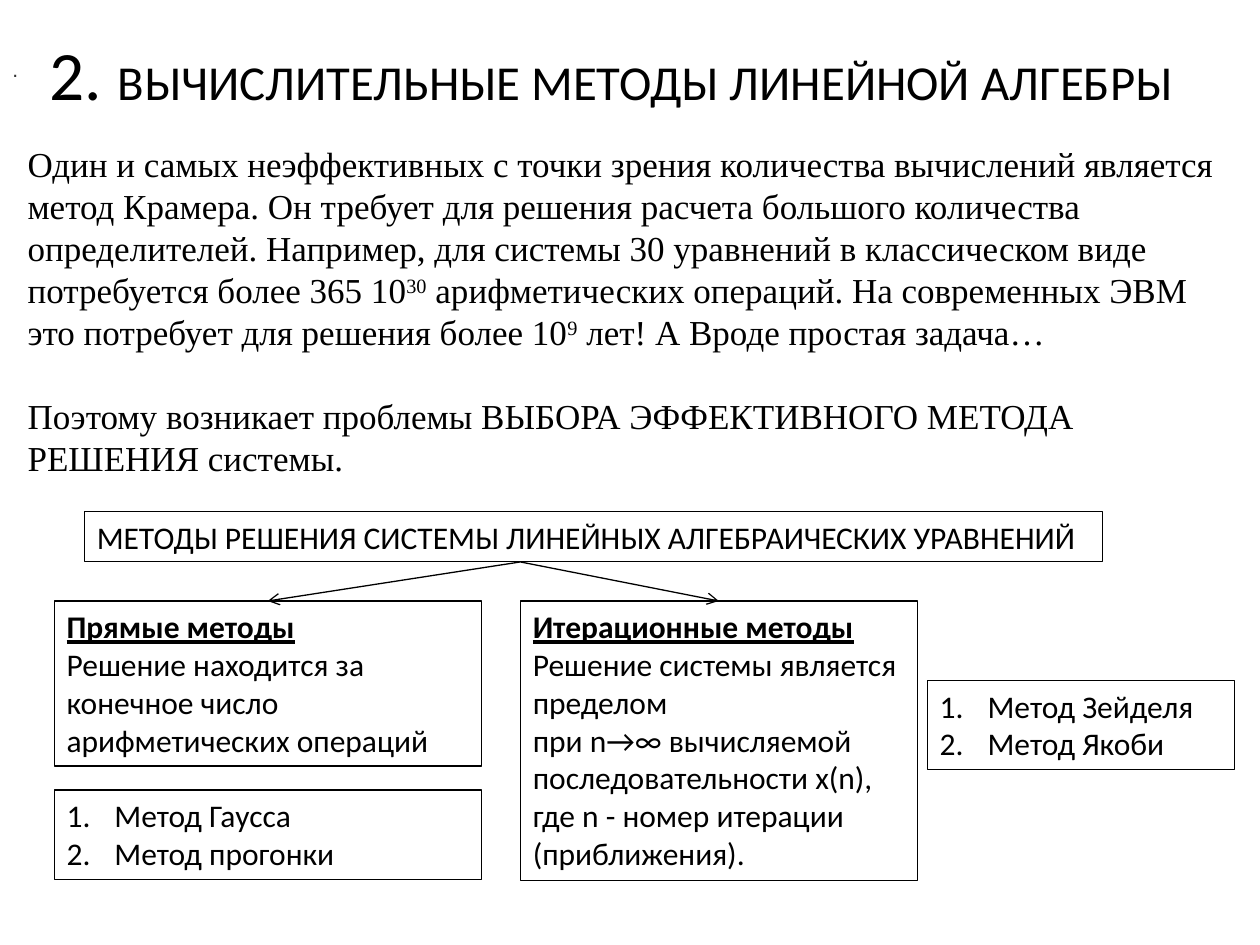
from dataclasses import dataclass

import pptx
import pptx.dml.color
import pptx.enum.shapes
import pptx.enum.text
import pptx.oxml.ns
import pptx.util
from lxml import etree
from pptx.util import Inches

ANCHOR = pptx.enum.text.MSO_ANCHOR
ALIGN = pptx.enum.text.PP_ALIGN
BLACK = "000000"
NBSP = chr(160)


@dataclass
class Area:
    left: float
    top: float
    width: float
    height: float


@dataclass
class MethodGroup:
    """A heading with its definition; "~" marks a non-breaking space."""
    area: Area
    heading: str
    definition: str


@dataclass
class MethodList:
    area: Area
    methods: list[str]


def color(value: str):
    return pptx.dml.color.RGBColor.from_string(value)


def style(paragraph, size: float, name: str = "Calibri", ink: str = BLACK) -> None:
    paragraph.font.size = pptx.util.Pt(size)
    paragraph.font.name = name
    paragraph.font.color.rgb = color(ink)


def add_child(parent, tag: str, **attributes: str):
    return etree.SubElement(parent, pptx.oxml.ns.qn(tag), attributes)


def add_box(slide, area: Area, outlined: bool = True, fill: str = "",
            anchor=ANCHOR.TOP, wrap: bool = True):
    box = slide.shapes.add_shape(
        pptx.enum.shapes.MSO_SHAPE.RECTANGLE, Inches(area.left),
        Inches(area.top), Inches(area.width), Inches(area.height))
    box.shadow.inherit = False
    if fill:
        box.fill.solid()
        box.fill.fore_color.rgb = color(fill)
    else:
        box.fill.background()
    if outlined:
        box.line.color.rgb = color(BLACK)
        box.line.width = pptx.util.Pt(0.75)
    else:
        box.line.fill.background()
    box.text_frame.word_wrap = wrap
    box.text_frame.vertical_anchor = anchor
    return box


def add_paragraphs(box, texts: list[str], size: float, name: str = "Calibri") -> list:
    frame = box.text_frame
    paragraphs = []
    for index, text in enumerate(texts):
        paragraph = frame.add_paragraph() if index else frame.paragraphs[0]
        paragraph.alignment = ALIGN.LEFT
        style(paragraph, size, name)
        if text:
            paragraph.add_run().text = text.replace("~", NBSP)
        paragraphs.append(paragraph)
    return paragraphs


def add_group(slide, group: MethodGroup):
    box = add_box(slide, group.area)
    heading, _ = add_paragraphs(box, [group.heading, group.definition], 18)
    heading.font.bold = True
    heading.font.underline = True
    return box


def add_method_list(slide, methods: MethodList) -> None:
    box = add_box(slide, methods.area)
    indent = Inches(0.38)
    for paragraph in add_paragraphs(box, methods.methods, 18):
        properties = paragraph._p.get_or_add_pPr()
        properties.set("marL", str(indent))
        properties.set("indent", str(-indent))
        numbering = etree.Element(pptx.oxml.ns.qn("a:buAutoNum"), type="arabicPeriod")
        properties.insert_element_before(numbering, "a:tabLst", "a:defRPr", "a:extLst")


def add_arrow(slide, left: float, top: float, target) -> None:
    arrow = slide.shapes.add_connector(
        pptx.enum.shapes.MSO_CONNECTOR.STRAIGHT, Inches(left), Inches(top),
        target.left + target.width // 2, target.top)
    arrow.end_connect(target, 0)
    arrow.line.color.rgb = color(BLACK)
    arrow.line.width = pptx.util.Pt(0.75)
    add_child(arrow.line._get_or_add_ln(), "a:tailEnd", type="arrow")
    add_child(arrow._element.spPr, "a:effectLst")


def add_text_box(slide, area: Area):
    box = slide.shapes.add_textbox(Inches(area.left), Inches(area.top),
                                   Inches(area.width), Inches(area.height))
    box.text_frame.word_wrap = True
    box.text_frame.vertical_anchor = ANCHOR.MIDDLE
    return box.text_frame.paragraphs[0]


INTRO = [
    ("Один и самых неэффективных с точки зрения количества вычислений является "
     "метод Крамера. Он требует для решения расчета большого количества "
     "определителей. Например, для системы 30 уравнений в классическом виде "
     "потребуется более 365 10", False),
    ("30", True),
    (" арифметических операций. На современных ЭВМ это потребует для решения "
     "более 10", False),
    ("9", True),
    (" лет! А Вроде простая задача…", False),
]
CONCLUSION = "Поэтому возникает проблемы ВЫБОРА ЭФФЕКТИВНОГО МЕТОДА РЕШЕНИЯ системы."
GROUP_TOP = 4.77
DIRECT = MethodGroup(
    Area(0.43, GROUP_TOP, 3.39, 1.31), "Прямые методы",
    "Решение~находится за конечное число арифметических операций")
ITERATIVE = MethodGroup(
    Area(4.13, GROUP_TOP, 3.15, 2.22), "Итерационные методы",
    "Решение~системы~является пределом при~n→∞~вычисляемой "
    "последовательности~x(n), где~n~- номер итерации (приближения).")
METHOD_LISTS = [
    MethodList(Area(0.43, 6.27, 3.39, 0.71), ["Метод Гаусса", "Метод прогонки"]),
    MethodList(Area(7.36, 5.4, 2.44, 0.71), ["Метод Зейделя", "Метод Якоби"]),
]


def main() -> None:
    deck = pptx.Presentation()
    deck.slide_width, deck.slide_height = Inches(10), Inches(7.5)
    slide = deck.slides.add_slide(deck.slide_layouts[6])

    # Title
    title = add_text_box(slide, Area(0.2, 0, 9.3, 1.15))
    title.alignment = ALIGN.CENTER
    style(title, 27.9)
    number = title.add_run()
    number.text = "2. "
    number.font.size = pptx.util.Pt(39.6)
    title.add_run().text = "ВЫЧИСЛИТЕЛЬНЫЕ МЕТОДЫ ЛИНЕЙНОЙ АЛГЕБРЫ"

    # Stray dot beside the title
    dot = add_text_box(slide, Area(0, 0.4, 10, 0.29))
    style(dot, 12, "Arial", "333333")
    dot.add_run().text = "."

    # Introduction with powers of ten
    intro_box = add_box(slide, Area(0.12, 1.07, 9.69, 2.79), outlined=False,
                        fill="FFFFFF", anchor=ANCHOR.MIDDLE)
    intro, conclusion = add_paragraphs(intro_box, ["", CONCLUSION], 20,
                                       "Times New Roman")
    for text, raised in INTRO:
        run = intro.add_run()
        run.text = text
        if raised:
            run._r.get_or_add_rPr().set("baseline", "30000")
    conclusion.space_before = pptx.util.Pt(24)

    # Classification of methods
    header = add_box(slide, Area(0.67, 4.06, 8.08, 0.4), wrap=False)
    add_paragraphs(
        header, ["МЕТОДЫ РЕШЕНИЯ СИСТЕМЫ ЛИНЕЙНЫХ АЛГЕБРАИЧЕСКИХ УРАВНЕНИЙ"], 18)
    for group in (DIRECT, ITERATIVE):
        add_arrow(slide, 4.13, 4.46, add_group(slide, group))
    for methods in METHOD_LISTS:
        add_method_list(slide, methods)

    deck.save("out.pptx")


if __name__ == "__main__":
    main()
